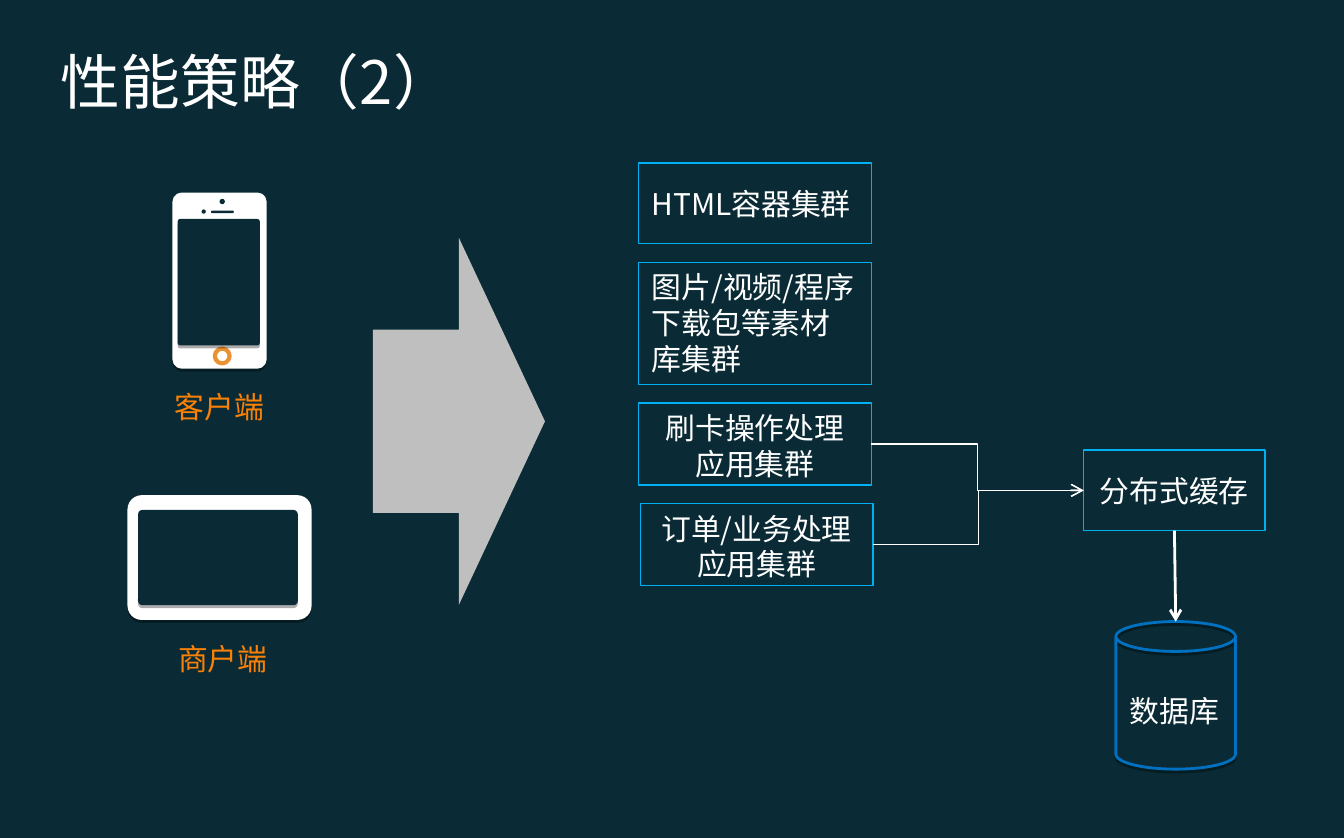
from dataclasses import dataclass

import pptx
import pptx.dml.color
import pptx.enum.shapes
import pptx.enum.text
import pptx.oxml
import pptx.oxml.ns
import pptx.util

Cm, Pt = pptx.util.Cm, pptx.util.Pt
RGB = pptx.dml.color.RGBColor.from_string
SHAPE = pptx.enum.shapes.MSO_SHAPE
CONNECTOR = pptx.enum.shapes.MSO_CONNECTOR
ALIGN = pptx.enum.text.PP_ALIGN
ANCHOR = pptx.enum.text.MSO_ANCHOR
DRAWING_NS = pptx.oxml.ns.nsdecls("a")


@dataclass(frozen=True)
class Theme:
    background: str = "0A2B35"
    text: str = "FFFFFF"
    label: str = "FA8107"
    home_ring: str = "EA9232"
    service_line: str = "00B0F0"
    database_line: str = "0070C0"
    flow: str = "BFBFBF"
    font: str = "Noto Sans CJK TC"
    title_size: int = 32
    body_size: int = 16


theme = Theme()


def add_shape(parent, preset, box, fill=None, line=None, width=0, corner=None, shadow=False):
    """Add a preset shape; box is left, top, width, height in cm."""
    shape = parent.add_shape(preset, *map(Cm, box))
    if fill:
        shape.fill.solid()
        shape.fill.fore_color.rgb = RGB(fill)
    else:
        shape.fill.background()
    if line:
        shape.line.color.rgb = RGB(line)
        shape.line.width = Pt(width)
    else:
        shape.line.fill.background()
    if corner is not None:
        shape.adjustments[0] = corner
    shape.shadow.inherit = False
    if shadow:
        shape._element.spPr.find(pptx.oxml.ns.qn("a:effectLst")).append(pptx.oxml.parse_xml(
            f'<a:outerShdw {DRAWING_NS} blurRad="0" dist="{Pt(1.6)}" dir="5400000" rotWithShape="0">'
            '<a:srgbClr val="000000"><a:alpha val="33000"/></a:srgbClr></a:outerShdw>'))
    return shape


def write(shape, words, size=theme.body_size, color=theme.text, align=ALIGN.CENTER,
          anchor=ANCHOR.TOP, wrap=True):
    shape.text_frame.word_wrap = wrap
    shape.text_frame.vertical_anchor = anchor
    paragraph = shape.text_frame.paragraphs[0]
    paragraph.alignment = align
    run = paragraph.add_run()
    run.text = words
    run.font.size = Pt(size)
    run.font.name = theme.font
    run.font.color.rgb = RGB(color)
    run._r.get_or_add_rPr().find(pptx.oxml.ns.qn("a:latin")).addnext(
        pptx.oxml.parse_xml(f'<a:ea {DRAWING_NS} typeface="{theme.font}"/>'))


deck = pptx.Presentation()
deck.slide_width, deck.slide_height = Cm(25.4), Cm(15.84)
slide = deck.slides.add_slide(deck.slide_layouts[6])
slide.background.fill.solid()
slide.background.fill.fore_color.rgb = RGB(theme.background)
shapes = slide.shapes

title = shapes.add_textbox(Cm(0.9), Cm(0.72), Cm(22), Cm(1.63))
write(title, "性能策略（2）", theme.title_size, align=ALIGN.LEFT)

# Server clusters, stacked with equal gaps
clusters = []
top, gap = 3.08, 0.35
for words, left, height, align, anchor in [
    ("HTML容器集群", 12.07, 1.53, ALIGN.LEFT, ANCHOR.MIDDLE),
    ("图片/视频/程序下载包等素材库集群", 12.07, 2.31, ALIGN.LEFT, ANCHOR.TOP),
    ("刷卡操作处理应用集群", 12.07, 1.55, ALIGN.CENTER, ANCHOR.TOP),
    ("订单/业务处理应用集群", 12.1, 1.55, ALIGN.CENTER, ANCHOR.TOP),
]:
    cluster = add_shape(shapes, SHAPE.RECTANGLE, (left, top, 4.4, height), line=theme.service_line)
    write(cluster, words, align=align, anchor=anchor)
    if align == ALIGN.LEFT:
        cluster.text_frame.margin_right = Cm(0.3)
    clusters.append(cluster)
    top += height + gap

# Cache and database
cache = add_shape(shapes, SHAPE.RECTANGLE, (20.48, 8.51, 3.43, 1.52), line=theme.service_line)
write(cache, "分布式缓存", anchor=ANCHOR.MIDDLE)
add_shape(shapes, SHAPE.CAN, (21.09, 11.75, 2.26, 2.79), line=theme.database_line, width=1.5,
          shadow=True)

# Phone
phone = shapes.add_group_shape().shapes
add_shape(phone, SHAPE.ROUNDED_RECTANGLE, (3.3, 3.68, 1.7, 3.25), theme.text, theme.text, 2.25,
          corner=0.08, shadow=True)
add_shape(phone, SHAPE.OVAL, (4.06, 6.59, 0.28, 0.28), theme.text, theme.home_ring, 2.25)
add_shape(phone, SHAPE.ROUNDED_RECTANGLE, (3.36, 4.14, 1.55, 2.39), theme.background,
          corner=0.03, shadow=True)
add_shape(phone, SHAPE.OVAL, (4.15, 3.76, 0.1, 0.1), theme.background)
add_shape(phone, SHAPE.OVAL, (3.81, 3.96, 0.08, 0.08), theme.background)
add_shape(phone, SHAPE.ROUNDED_RECTANGLE, (3.99, 3.98, 0.43, 0.05), theme.background, corner=0.5)

# Tablet
tablet = shapes.add_group_shape().shapes
add_shape(tablet, SHAPE.ROUNDED_RECTANGLE, (2.41, 9.36, 3.48, 2.36), theme.text,
          corner=0.115, shadow=True)
add_shape(tablet, SHAPE.ROUNDED_RECTANGLE, (2.61, 9.64, 3.02, 1.8), theme.background,
          corner=0.046, shadow=True)

for words, left, top, color in [
    ("客户端", 3.03, 7.23, theme.label),
    ("商户端", 3.09, 11.98, theme.label),
    ("数据库", 21.08, 12.96, theme.text),
]:
    caption = shapes.add_textbox(Cm(left), Cm(top), Cm(2.24), Cm(0.94))
    write(caption, words, color=color, wrap=False)

add_shape(shapes, SHAPE.RIGHT_ARROW, (7.05, 4.5, 3.25, 6.93), theme.flow)

# Data flow: clusters to cache, cache to database
cache_to_database = shapes.add_connector(CONNECTOR.STRAIGHT, Cm(22.2), Cm(10.03), Cm(22.22), Cm(11.75))
cache_to_database.begin_connect(cache, 2)
flows = [(cache_to_database, 1.5)]
for cluster in clusters[2:]:
    cluster_to_cache = shapes.add_connector(CONNECTOR.ELBOW, 0, 0, 0, 0)
    cluster_to_cache.begin_connect(cluster, 3)
    cluster_to_cache.end_connect(cache, 1)
    flows.append((cluster_to_cache, 0.75))
for connector, width in flows:
    connector.line.color.rgb = RGB(theme.text)
    connector.line.width = Pt(width)
    connector.line._get_or_add_ln().append(
        pptx.oxml.parse_xml(f'<a:tailEnd {DRAWING_NS} type="arrow"/>'))
    connector._element.spPr.append(pptx.oxml.parse_xml(f"<a:effectLst {DRAWING_NS}/>"))

deck.save("out.pptx")
